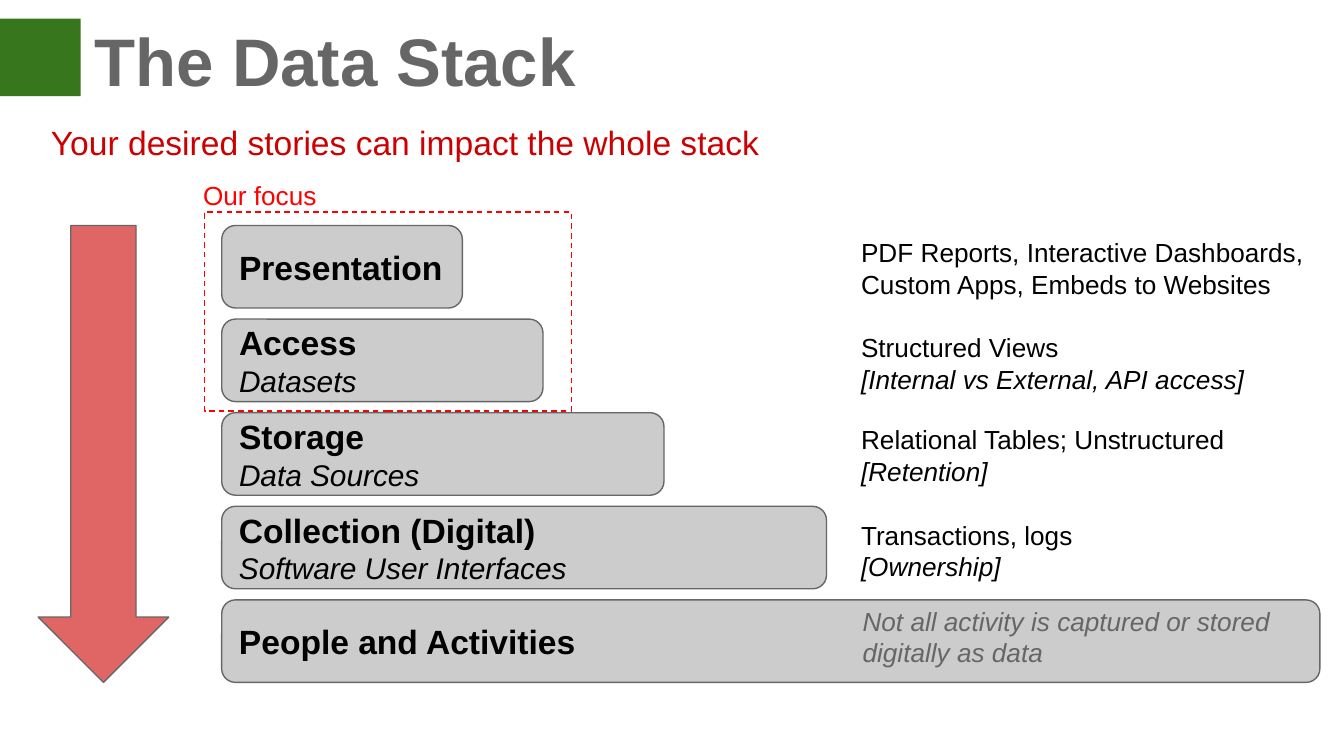
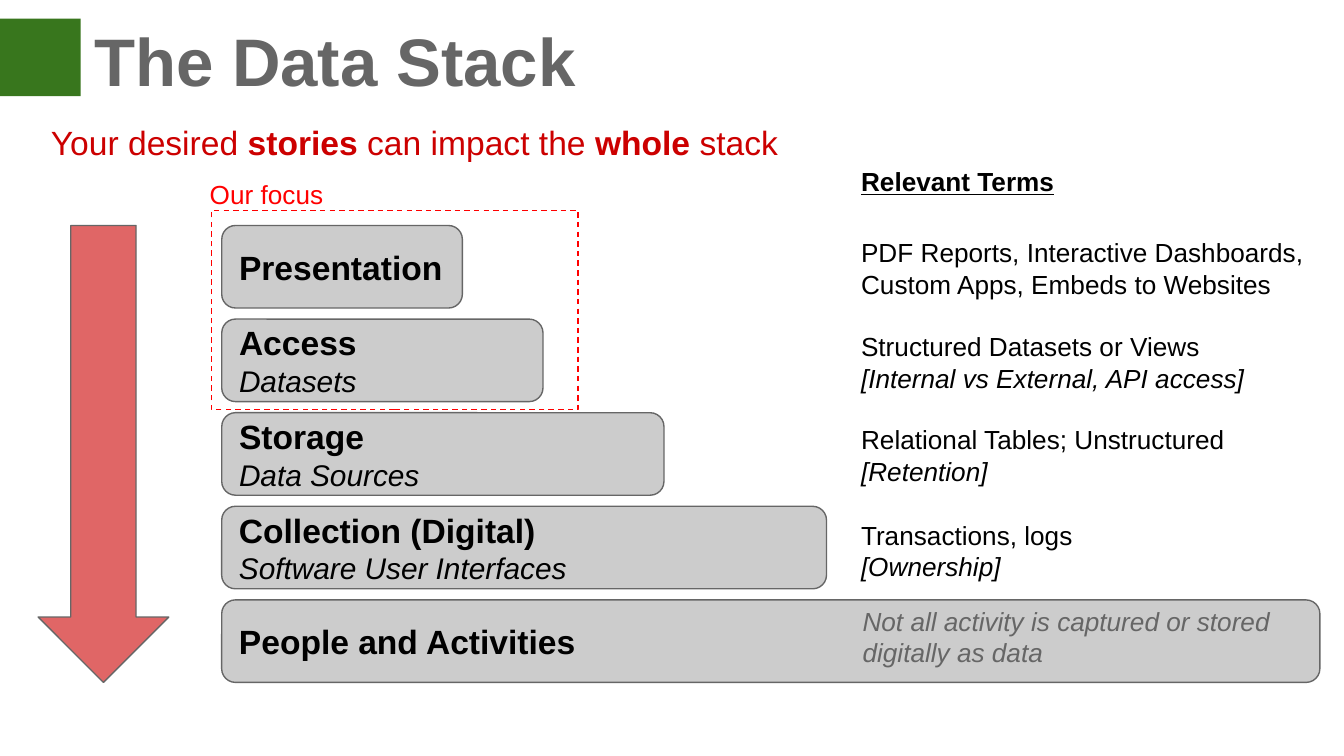
from dataclasses import dataclass
from typing import NamedTuple

from lxml.etree import SubElement
from pptx import Presentation
from pptx.dml.color import RGBColor
from pptx.enum.dml import MSO_LINE
from pptx.enum.shapes import MSO_SHAPE
from pptx.enum.text import MSO_ANCHOR, MSO_AUTO_SIZE, PP_ALIGN
from pptx.slide import Slide
from pptx.util import Pt


@dataclass(frozen=True)
class Theme:
    font: str = "Arial"
    green: str = "38761D"
    gray: str = "666666"
    bar: str = "CCCCCC"
    ink: str = "000000"
    arrow: str = "E06666"
    lead: str = "CC0000"
    focus: str = "FF0000"
    title: int = 36
    head: int = 18
    sub: int = 16
    note: int = 14
    inset: float = 7.2
    line: float = 0.75


THEME = Theme()


class Run(NamedTuple):
    text: str
    size: int = THEME.note
    color: str = THEME.ink
    bold: bool = False
    slant: bool = False
    under: bool = False


class Area(NamedTuple):
    left: float
    top: float
    width: float
    height: float


class Layer(NamedTuple):
    head: str
    sub: str
    width: float


class Note(NamedTuple):
    area: Area
    lines: tuple[Run, ...]
    middle: bool = False


class Page(NamedTuple):
    lead: tuple[Run, ...]
    focus: tuple[float, float]
    notes: tuple[Note, ...]


# Stack of layers, top to bottom
LEFT, TOP, PITCH, TALL = 118.8, 120.8, 50.15, 44.2
LAYERS = (
    Layer("Presentation", "", 128.9),
    Layer("Access", "Datasets", 172.1),
    Layer("Storage", "Data Sources", 236.9),
    Layer("Collection (Digital)", "Software User Interfaces", 324),
    Layer("People and Activities", "", 588.3),
)


# Text helpers
def write(shape, lines: tuple[tuple[Run, ...], ...], middle: bool = False) -> None:
    frame = shape.text_frame
    frame.word_wrap = True
    frame.auto_size = MSO_AUTO_SIZE.NONE
    frame.vertical_anchor = MSO_ANCHOR.MIDDLE if middle else MSO_ANCHOR.TOP
    frame.margin_left = frame.margin_right = Pt(THEME.inset)
    frame.margin_top = frame.margin_bottom = Pt(THEME.inset)
    para = frame.paragraphs[0]
    para.alignment = PP_ALIGN.LEFT
    for index, line in enumerate(lines):
        if index:
            para.add_line_break()
        for item in line:
            run = para.add_run()
            run.text = item.text
            font = run.font
            font.name, font.size = THEME.font, Pt(item.size)
            font.bold, font.italic = item.bold, item.slant
            font.underline = item.under
            font.color.rgb = RGBColor.from_string(item.color)


def label(shapes, area: Area, lines: tuple[tuple[Run, ...], ...],
          middle: bool = False) -> None:
    write(shapes.add_textbox(*map(Pt, area)), lines, middle)


# Shape helper
def block(shapes, kind: MSO_SHAPE, area: Area, fill: str = "", line: str = ""):
    shape = shapes.add_shape(kind, *map(Pt, area))
    shape.shadow.inherit = False
    if fill:
        shape.fill.solid()
        shape.fill.fore_color.rgb = RGBColor.from_string(fill)
    else:
        shape.fill.background()
    if line:
        shape.line.color.rgb = RGBColor.from_string(line)
        shape.line.width = Pt(THEME.line)
    else:
        shape.line.fill.background()
    return shape


# Parts of the slide
def draw_title(slide: Slide, text: str) -> None:
    block(slide.shapes, MSO_SHAPE.RECTANGLE, Area(-2, 10, 45.2, 41.6), THEME.green)
    title = slide.shapes.title
    title.left, title.top, title.width, title.height = map(Pt, (43.2, 2.9, 612.7, 55.4))
    write(title, ((Run(text, THEME.title, THEME.gray, bold=True),),))


def draw_stack(slide: Slide) -> None:
    for index, layer in enumerate(LAYERS):
        area = Area(LEFT, TOP + index * PITCH, layer.width, TALL)
        bar = block(slide.shapes, MSO_SHAPE.ROUNDED_RECTANGLE, area, THEME.bar, THEME.gray)
        lines = ((Run(layer.head, THEME.head, bold=True),),)
        if layer.sub:
            lines += ((Run(layer.sub, THEME.sub, slant=True),),)
        write(bar, lines, middle=True)


def draw_focus(slide: Slide, left: float, top: float) -> None:
    group = slide.shapes.add_group_shape()
    frame = block(group.shapes, MSO_SHAPE.RECTANGLE, Area(left, top, 196.6, 106.6),
                  line=THEME.focus)
    frame.line.dash_style = MSO_LINE.DASH
    label(group.shapes, Area(left - 7.9, top - 24.5, 155.5, 20.2),
          ((Run("Our focus", color=THEME.focus),),))


def draw_page(slide: Slide, page: Page) -> None:
    draw_title(slide, "The Data Stack")
    draw_stack(slide)
    for note in page.notes:
        label(slide.shapes, note.area, tuple((run,) for run in note.lines), note.middle)
    draw_focus(slide, *page.focus)
    block(slide.shapes, MSO_SHAPE.DOWN_ARROW, Area(20.4, TOP, 70, 244.8),
          THEME.arrow, THEME.gray)
    label(slide.shapes, Area(20.2, 58.3, 439.2, 27.4), (page.lead,))


# Wording
def lead(text: str, bold: bool = False) -> Run:
    return Run(text, THEME.head, THEME.lead, bold)


def term(top: float, *lines: Run, width: float = 255.6) -> Note:
    return Note(Area(454.2, top, width, 33.1), lines)


def views(top: float, text: str) -> Note:
    return term(top, Run(text), Run("[Internal vs External, API access]", slant=True))


TERMS = (
    term(270.9, Run("Transactions, logs"), Run("[Ownership]", slant=True), width=196.6),
    term(219.8, Run("Relational Tables; Unstructured"), Run("[Retention]", slant=True),
         width=214.6),
    term(119.6, Run("PDF Reports, Interactive Dashboards, Custom Apps, Embeds to Websites")),
    Note(Area(455, 321.8, 255.6, 38.2),
         (Run("Not all activity is captured or stored digitally as data",
              color=THEME.gray, slant=True),), middle=True),
)
PAGES = (
    Page((lead("Your desired stories can impact the whole stack"),), (109.6, 113.6),
         TERMS + (views(170.5, "Structured Views"),)),
    Page((lead("Your desired "), lead("stories ", True), lead("can impact the "),
          lead("whole ", True), lead("stack")), (113.2, 112.8),
         TERMS + (views(170, "Structured Datasets or Views"),
                  term(81.5, Run("Relevant Terms", bold=True, under=True), width=244.1))),
)


def main() -> None:
    deck = Presentation()
    deck.slide_width, deck.slide_height = Pt(720), Pt(405)
    for page in PAGES:
        draw_page(deck.slides.add_slide(deck.slide_layouts[5]), page)
    deck.save("out.pptx")


if __name__ == "__main__":
    main()
